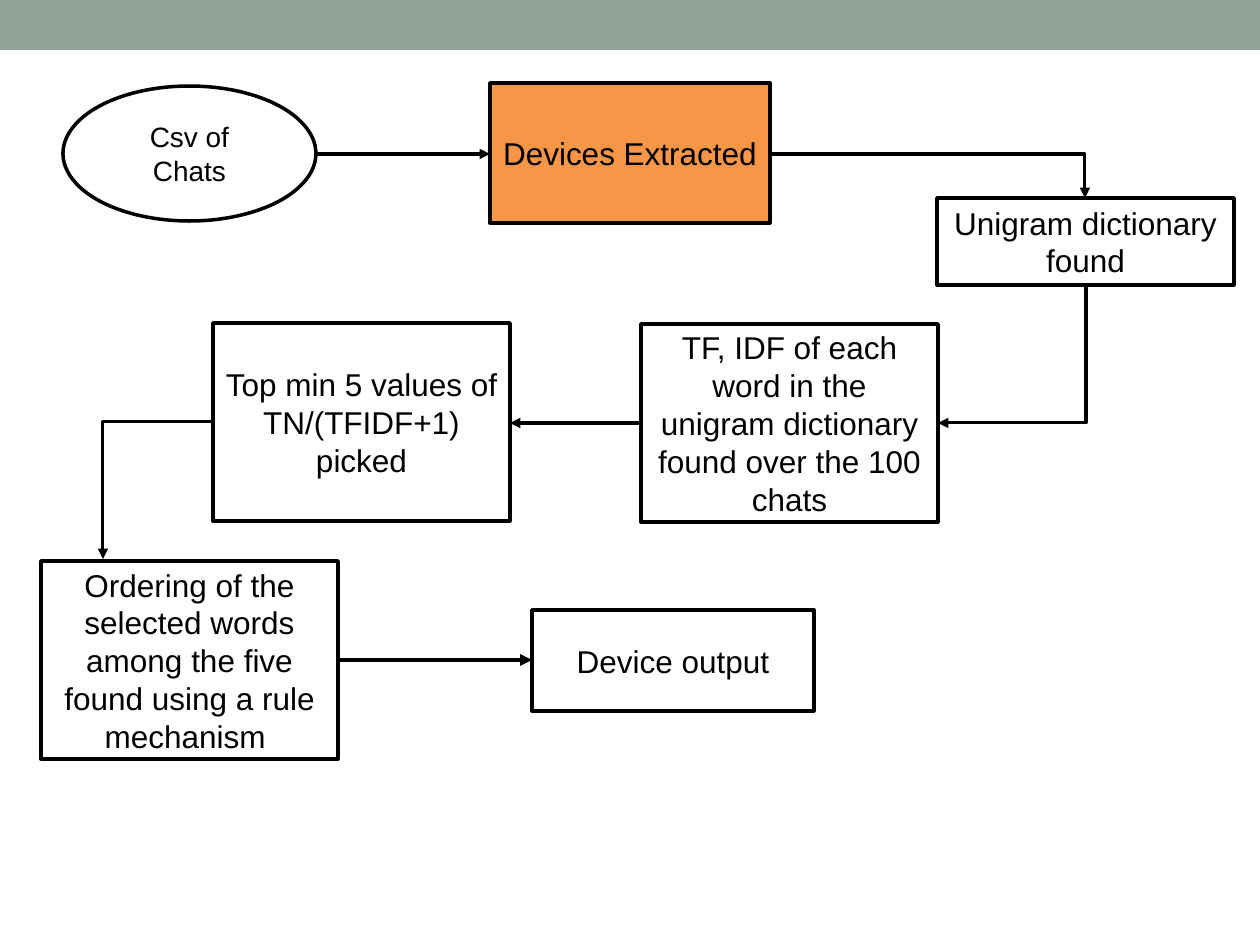
import pptx
import pptx.dml.color
import pptx.enum.shapes
import pptx.enum.text
import pptx.util
import lxml.etree

PX = 914400 / 126
SHAPE = pptx.enum.shapes.MSO_SHAPE
ELBOW = pptx.enum.shapes.MSO_CONNECTOR.ELBOW
STRAIGHT = pptx.enum.shapes.MSO_CONNECTOR.STRAIGHT
STEP_WIDTH, STEP_HEIGHT = 297, 198


def emu(px):
    return pptx.util.Emu(round(px * PX))


def color(hex_code):
    return pptx.dml.color.RGBColor.from_string(hex_code)


def draw_band(slide, box):
    band = slide.shapes.add_shape(SHAPE.RECTANGLE, *map(emu, box))
    band.shadow.inherit = False
    band.fill.solid()
    band.fill.fore_color.rgb = color("93A299")
    band.line.fill.background()


def draw_step(slide, box, wording, fill="FFFFFF", kind=SHAPE.RECTANGLE, size=18):
    step = slide.shapes.add_shape(kind, *map(emu, box))
    step.shadow.inherit = False
    step.fill.solid()
    step.fill.fore_color.rgb = color(fill)
    step.line.color.rgb = color("000000")
    step.line.width = pptx.util.Pt(2)
    frame = step.text_frame
    frame.word_wrap = True
    frame.margin_left = frame.margin_right = emu(11)
    frame.vertical_anchor = pptx.enum.text.MSO_ANCHOR.MIDDLE
    frame.text = wording
    for paragraph in frame.paragraphs:
        paragraph.alignment = pptx.enum.text.PP_ALIGN.CENTER
        for run in paragraph.runs:
            run.font.name = "Arial"
            run.font.size = pptx.util.Pt(size)
            run.font.color.rgb = color("000000")


def draw_arrow(slide, start, end, kind=STRAIGHT, width=1.75):
    arrow = slide.shapes.add_connector(kind, *map(emu, start + end))
    arrow.line.color.rgb = color("000000")
    arrow.line.width = pptx.util.Pt(width)
    namespace = pptx.oxml.ns.qn
    lxml.etree.SubElement(arrow.line._get_or_add_ln(), namespace("a:tailEnd"), type="triangle")
    properties = arrow._element.spPr
    lxml.etree.SubElement(properties, namespace("a:effectLst"))
    if kind == ELBOW:
        properties.find(namespace("a:prstGeom")).set("prst", "bentConnector2")
    return arrow


def draw_down_then_left(slide, start, end):
    center_x, center_y = (start[0] + end[0]) / 2, (start[1] + end[1]) / 2
    half_width, half_height = (end[1] - start[1]) / 2, (start[0] - end[0]) / 2
    arrow = draw_arrow(
        slide,
        (center_x - half_width, center_y - half_height),
        (center_x + half_width, center_y + half_height),
        ELBOW,
    )
    arrow._element.spPr.find(pptx.oxml.ns.qn("a:xfrm")).set("rot", str(90 * 60000))


def draw_extraction(slide, box):
    left, top, width, height = box
    middle = top + 71
    dictionary_left = left + width - STEP_WIDTH
    dictionary_center = dictionary_left + STEP_WIDTH // 2
    draw_step(slide, (left, top + 3, 253, 135), "Csv of Chats", kind=SHAPE.OVAL, size=16)
    draw_step(slide, (left + 427, top, 280, 140), "Devices Extracted", "F79646")
    draw_step(slide, (dictionary_left, top + height - 87, STEP_WIDTH, 87),
              "Unigram dictionary found")
    draw_arrow(slide, (left + 253, middle), (left + 427, middle))
    draw_arrow(slide, (left + 707, middle), (dictionary_center, top + height - 87), ELBOW)


def draw_scoring(slide, box):
    left, top, width, height = box
    frequency_left = left + width - STEP_WIDTH
    middle = top + height // 2 + 1
    draw_step(slide, (frequency_left, top + 1, STEP_WIDTH, STEP_HEIGHT),
              "TF, IDF of each word in the unigram dictionary found over the 100 chats")
    draw_step(slide, (left, top, STEP_WIDTH, STEP_HEIGHT),
              "Top min 5 values of TN/(TFIDF+1)\npicked")
    draw_arrow(slide, (frequency_left, middle), (left + STEP_WIDTH, middle))
    draw_down_then_left(slide, (left + 873, top - 38), (left + width, middle))
    draw_arrow(slide, (left, middle - 1), (left - 110, top + 236), ELBOW)


def draw_output(slide, box):
    left, top, width, height = box
    middle = top + height // 2
    output_left = left + width - 282
    draw_step(slide, (left, top, STEP_WIDTH, STEP_HEIGHT),
              "Ordering of the selected words among the five found using a rule mechanism ")
    draw_step(slide, (output_left, top + 49, 282, 101), "Device output")
    draw_arrow(slide, (left + STEP_WIDTH, middle), (output_left, middle), width=2.25)


def main():
    presentation = pptx.Presentation()
    presentation.slide_width, presentation.slide_height = emu(1260), emu(945)
    slide = presentation.slides.add_slide(presentation.slide_layouts[6])
    draw_band(slide, (0, 0, 1260, 50))
    draw_extraction(slide, (63, 83, 1171, 202))
    draw_scoring(slide, (213, 323, 725, 198))
    draw_output(slide, (41, 561, 773, 198))
    presentation.save("out.pptx")


if __name__ == "__main__":
    main()
